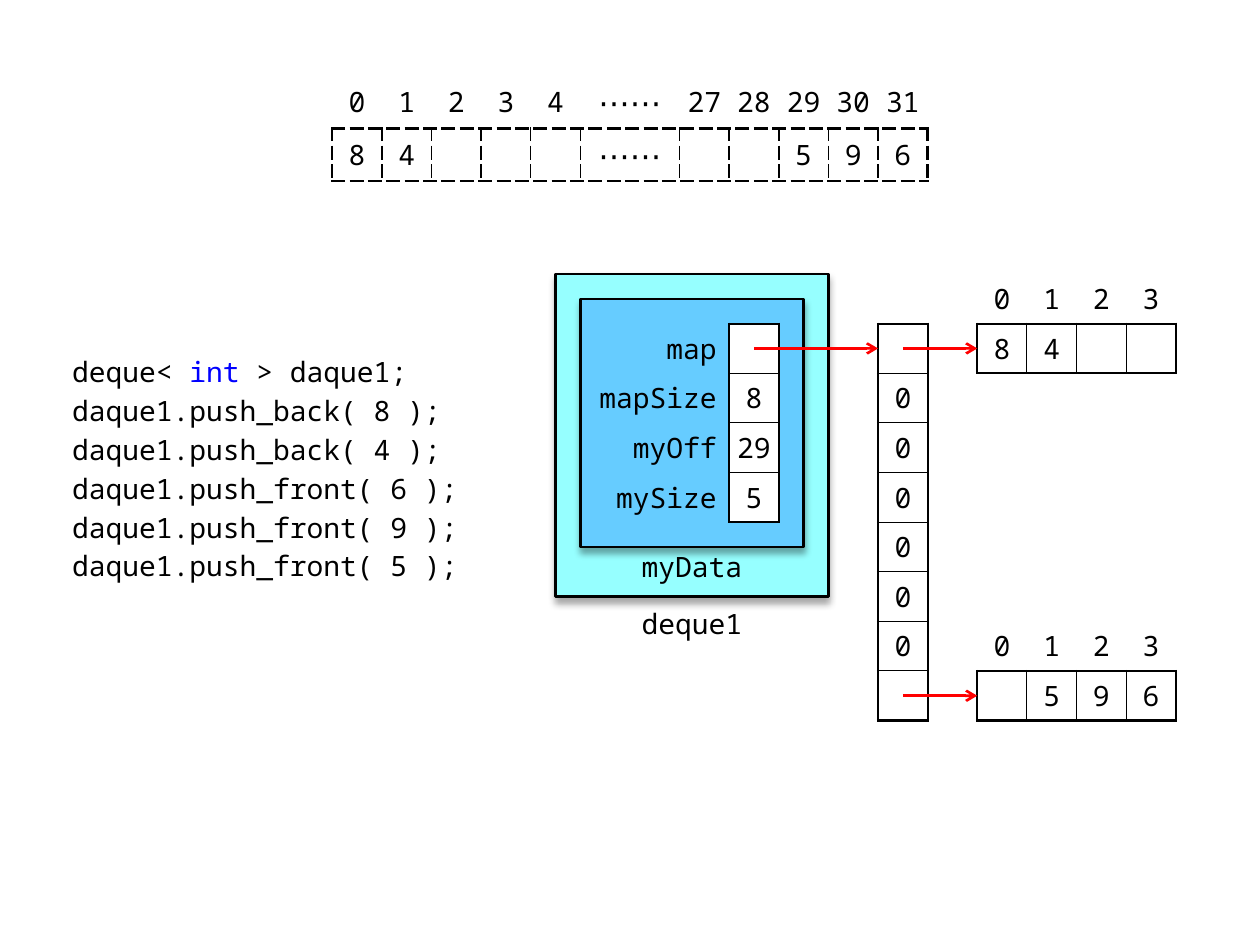
from lxml import etree
from pptx import Presentation
from pptx.dml.color import RGBColor
from pptx.enum.shapes import MSO_CONNECTOR, MSO_SHAPE
from pptx.enum.text import MSO_ANCHOR, MSO_AUTO_SIZE, PP_ALIGN
from pptx.oxml.ns import qn
from pptx.util import Pt

LINE = MSO_CONNECTOR.STRAIGHT
BOX = MSO_SHAPE.FLOWCHART_PROCESS
MID, TOP = MSO_ANCHOR.MIDDLE, MSO_ANCHOR.TOP
FIXED = MSO_AUTO_SIZE.NONE
LEFT, RIGHT, MIDDLE = PP_ALIGN.LEFT, PP_ALIGN.RIGHT, PP_ALIGN.CENTER

WIDE, HIGH = 720, 540
UNIT = 28.35
FONT = "Noto Sans Mono"
BLACK, WHITE, RED, BLUE = "000000", "FFFFFF", "FF0000", "0000FF"
AQUA, SKY = "96FFFF", "66CCFF"
PLAIN = "{2D5ABB26-0587-4C30-8999-92F81FD0307C}"
DOTS = "⋯⋯"


def color(code):
    return RGBColor.from_string(code)


def point(x, y):
    return Pt(WIDE / 2 + x * UNIT), Pt(HIGH / 2 + y * UNIT)


def area(x, y, w, h):
    return *point(x, y), Pt(w * UNIT), Pt(h * UNIT)


def node(root, tag, **attrs):
    return etree.SubElement(root, qn(tag), attrs)


def style(para, align, size=16):
    para.alignment = align
    para.font.name = FONT
    para.font.size = Pt(size)
    para.font.color.rgb = color(BLACK)


def code(slide, place, lines):
    body = slide.placeholders[1]
    body.left, body.top, body.width, body.height = place
    frame = body.text_frame
    frame.auto_size = FIXED
    for i, line in enumerate(lines):
        para = frame.add_paragraph() if i else frame.paragraphs[0]
        style(para, LEFT)
        para.space_before = Pt(3)
        para.line_spacing = Pt(19.2)
        props = para._p.get_or_add_pPr()
        props.set("marL", "0")
        props.set("indent", "0")
        props.insert_element_before(
            etree.Element(qn("a:buNone")), "a:tabLst", "a:defRPr", "a:extLst")
        for part in line:
            run = para.add_run()
            run.text = part
            if part == "int":
                run.font.color.rgb = color(BLUE)


def label(slide, text, place, anchor, top):
    frame = slide.shapes.add_textbox(*place).text_frame
    frame.word_wrap = True
    frame.vertical_anchor = anchor
    frame.margin_left = frame.margin_right = Pt(5.7)
    frame.margin_top, frame.margin_bottom = Pt(top), Pt(0)
    frame.text = text
    style(frame.paragraphs[0], MIDDLE)


def panel(slide, place, fill):
    shape = slide.shapes.add_shape(BOX, *place)
    shape.fill.solid()
    shape.fill.fore_color.rgb = color(fill)
    shape.line.color.rgb = color(BLACK)
    shape.line.width = Pt(1.5)
    shape.shadow.inherit = False
    fx = shape._element.spPr.find(qn("a:effectLst"))
    glow = node(fx, "a:outerShdw", blurRad=str(Pt(4)), dist=str(Pt(3)),
                dir="5400000", rotWithShape="0")
    tint = node(glow, "a:srgbClr", val=BLACK)
    node(tint, "a:alpha", val="35000")


def arrow(slide, start, end):
    link = slide.shapes.add_connector(LINE, *point(*start), *point(*end))
    link.line.color.rgb = color(RED)
    link.line.width = Pt(1.5)
    props = link._element.spPr
    node(props.find(qn("a:ln")), "a:tailEnd", type="arrow")
    node(props, "a:effectLst")


def edge(cell, side, width, dash):
    line = node(cell._tc.get_or_add_tcPr(), "a:ln" + side, w=str(Pt(width)))
    fill = node(line, "a:solidFill")
    node(fill, "a:srgbClr", val=BLACK)
    node(line, "a:prstDash", val=dash)


def grid(slide, x, y, rows, cols, first=(0, 0), thin=0.75, dash="solid"):
    place = area(x, y, sum(cols), len(rows))
    table = slide.shapes.add_table(len(rows), len(cols), *place).table
    table.first_row = table.horz_banding = False
    table._tbl.tblPr.find(qn("a:tableStyleId")).text = PLAIN
    for col, w in zip(table.columns, cols):
        col.width = Pt(w * UNIT)
    top, left = first
    for r, row in enumerate(rows):
        for c, text in enumerate(row):
            cell = table.cell(r, c)
            side = c < left
            cell.vertical_anchor = MID
            cell.margin_left = cell.margin_right = Pt(7.2 if side else 2.84)
            cell.margin_top = cell.margin_bottom = Pt(2.84)
            cell.text = text
            style(cell.text_frame.paragraphs[0], RIGHT if side else MIDDLE,
                  18 if text == DOTS else 16)
            if r < top or side:
                cell.fill.background()
                continue
            outer = {"L": c == left, "R": c == len(cols) - 1,
                     "T": r == top, "B": r == len(rows) - 1}
            for name, rim in outer.items():
                edge(cell, name, 1.5 if rim else thin, dash)
            cell.fill.solid()
            cell.fill.fore_color.rgb = color(WHITE)


def main():
    deck = Presentation()
    deck.slide_width, deck.slide_height = Pt(WIDE), Pt(HIGH)
    slide = deck.slides.add_slide(deck.slide_layouts[1])
    title = slide.shapes.title._element
    title.getparent().remove(title)

    calls = ["back( 8", "back( 4", "front( 6", "front( 9", "front( 5"]
    code(slide, area(-11.5, -2.5, 8.5, 5),
         [("deque< ", "int", " > daque1;")]
         + [(f"daque1.push_{call} );",) for call in calls])

    heads = [*"01234", DOTS, "27", "28", "29", "30", "31"]
    items = ["8", "4", "", "", "", DOTS, "", "", "5", "9", "6"]
    spans = [2 if head == DOTS else 1 for head in heads]
    grid(slide, -6, -8, [heads, items], spans, (1, 0), 1, "sysDash")

    panel(slide, area(-1.5, -4, 5.5, 6.5), AQUA)
    panel(slide, area(-1, -3.5, 4.5, 5), SKY)
    label(slide, "deque1", area(-0.5, 2.5, 3.5, 1), MID, 2.84)
    label(slide, "myData", area(0, 1.5, 2.5, 1), TOP, 1.4)

    stats = [("map", ""), ("mapSize", "8"), ("myOff", "29"), ("mySize", "5")]
    grid(slide, -1, -3, stats, [3, 1], (0, 1))
    grid(slide, 5, -3, [[""], *[["0"]] * 6, [""]], [1])
    for y, row in ((-4, ["8", "4", "", ""]), (3, ["", "5", "9", "6"])):
        grid(slide, 7, y, ["0123", row], [1] * 4, (1, 0))
        arrow(slide, (5.5, y + 1.5), (7, y + 1.5))
    arrow(slide, (2.5, -2.5), (5, -2.5))

    deck.save("out.pptx")


if __name__ == "__main__":
    main()
